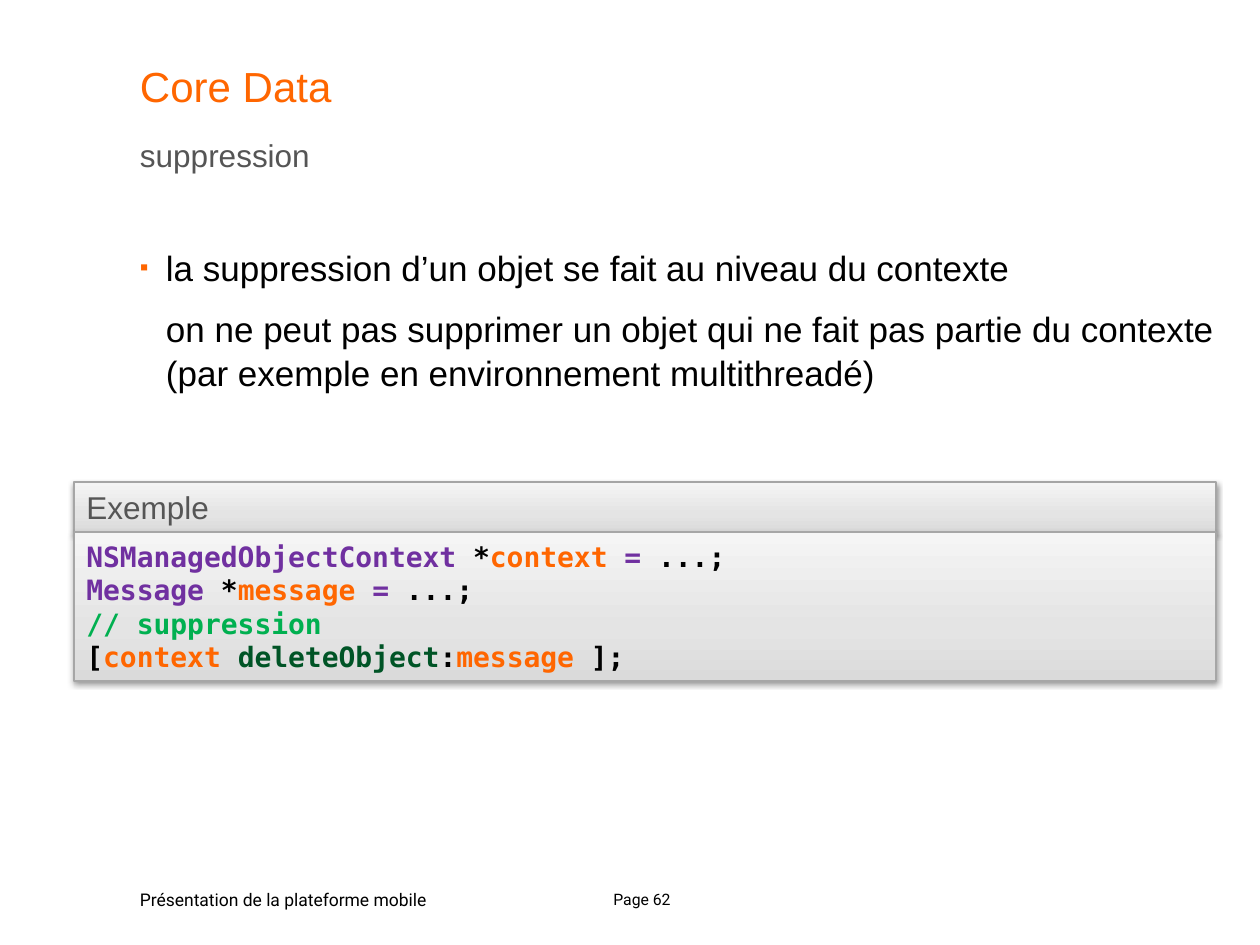
"""Build the Core Data slide about deleting an object."""
from dataclasses import dataclass

import lxml.etree
import pptx
import pptx.dml.color
import pptx.enum.shapes
import pptx.enum.text
import pptx.oxml
import pptx.oxml.ns
import pptx.util

RGBColor = pptx.dml.color.RGBColor
Anchor = pptx.enum.text.MSO_ANCHOR
Align = pptx.enum.text.PP_ALIGN

ORANGE = RGBColor(0xFF, 0x66, 0x00)
GREY = RGBColor(0x55, 0x55, 0x55)
BLACK = RGBColor(0x00, 0x00, 0x00)
PURPLE = RGBColor(0x70, 0x30, 0xA0)
GREEN = RGBColor(0x00, 0xB0, 0x50)
DARK_GREEN = RGBColor(0x00, 0x54, 0x26)
BORDER = RGBColor(0xA6, 0xA6, 0xA6)
PANEL_STOPS = [
    (0, RGBColor(0xDA, 0xDA, 0xDA)),
    (35, RGBColor(0xE4, 0xE4, 0xE4)),
    (100, RGBColor(0xF5, 0xF5, 0xF5)),
]

EMU_PER_PX = 914400 / 126
INSET_X, INSET_Y = 13, 6
HANGING = 26
NAMESPACE = pptx.oxml.ns.nsdecls("a")

Line = list[tuple[str, RGBColor]]


@dataclass(frozen=True)
class Box:
    left: int
    top: int
    width: int
    height: int


@dataclass(frozen=True)
class TextStyle:
    size: int
    color: RGBColor = BLACK
    font: str = "Arial"
    align: Align = Align.LEFT
    anchor: Anchor = Anchor.TOP
    spacing: float = 1.0
    wrap: bool = True
    inset_x: int = 0
    inset_y: int = 0


@dataclass(frozen=True)
class Label:
    text: str
    box: Box
    style: TextStyle


@dataclass(frozen=True)
class Panel:
    box: Box
    lines: list[Line]
    size: int
    font: str
    bold: bool


LABELS = [
    Label("Page 62", Box(591, 884, 102, 30),
          TextStyle(9, font="Roboto", align=Align.CENTER, inset_x=INSET_X, inset_y=INSET_Y)),
    Label("Core Data", Box(140, 55, 1076, 68), TextStyle(24, ORANGE, spacing=1.1)),
    Label("Présentation de la plateforme mobile", Box(140, 883, 343, 30),
          TextStyle(10, font="Roboto", wrap=False, inset_y=INSET_Y)),
    Label("suppression", Box(140, 134, 1076, 42),
          TextStyle(18, GREY, anchor=Anchor.MIDDLE)),
]

CODE: list[Line] = [
    [("NSManagedObjectContext ", PURPLE), ("*", BLACK), ("context ", ORANGE),
     ("= ", PURPLE), ("...;", BLACK)],
    [("Message ", PURPLE), ("*", BLACK), ("message ", ORANGE),
     ("= ", PURPLE), ("...;", BLACK)],
    [("// suppression", GREEN)],
    [("[", BLACK), ("context ", ORANGE), ("deleteObject", DARK_GREEN),
     (":", BLACK), ("message ", ORANGE), ("];", BLACK)],
]

PANELS = [
    Panel(Box(74, 482, 1142, 50), [[("Exemple", GREY)]], 18, "Arial", False),
    Panel(Box(74, 532, 1142, 149), CODE, 16, "DejaVu Sans Mono", True),
]

BODY_BOX = Box(140, 244, 1106, 238)
BODY_STYLE = TextStyle(20, spacing=1.05)
BODY = [
    ("la suppression d’un objet se fait au niveau du contexte", True),
    ("on ne peut pas supprimer un objet qui ne fait pas partie du contexte "
     "(par exemple en environnement multithreadé)", False),
]


def px(value: int) -> int:
    """Turn pixels into EMU."""
    return pptx.util.Emu(round(value * EMU_PER_PX))


def place(box: Box) -> tuple[int, int, int, int]:
    """Return the box in EMU."""
    return px(box.left), px(box.top), px(box.width), px(box.height)


def add_frame(slide, box: Box, style: TextStyle):
    """Add a text box and return its text frame."""
    frame = slide.shapes.add_textbox(*place(box)).text_frame
    frame.word_wrap = style.wrap
    frame.vertical_anchor = style.anchor
    frame.margin_left = frame.margin_right = px(style.inset_x)
    frame.margin_top = frame.margin_bottom = px(style.inset_y)
    return frame


def style_paragraph(paragraph, style: TextStyle) -> None:
    """Apply the text style to a whole paragraph."""
    paragraph.alignment = style.align
    paragraph.line_spacing = style.spacing
    paragraph.font.size = pptx.util.Pt(style.size)
    paragraph.font.name = style.font
    paragraph.font.color.rgb = style.color


def add_label(slide, label: Label) -> None:
    """Add a single line of text."""
    paragraph = add_frame(slide, label.box, label.style).paragraphs[0]
    paragraph.text = label.text
    style_paragraph(paragraph, label.style)


def add_body(slide) -> None:
    """Add the explanation, with a bullet on its first paragraph."""
    frame = add_frame(slide, BODY_BOX, BODY_STYLE)
    for index, (text, bulleted) in enumerate(BODY):
        paragraph = frame.add_paragraph() if index else frame.paragraphs[0]
        paragraph.text = text
        paragraph.space_after = pptx.util.Pt(BODY_STYLE.size / 2)
        properties = paragraph._p.get_or_add_pPr()
        properties.set("marL", str(px(HANGING)))
        properties.set("indent", str(-px(HANGING) if bulleted else 0))
        if bulleted:
            for bullet in (
                f'<a:buClr {NAMESPACE}><a:srgbClr val="{ORANGE}"/></a:buClr>',
                f'<a:buSzPct {NAMESPACE} val="70000"/>',
                f'<a:buFont {NAMESPACE} typeface="Arial"/>',
                f'<a:buChar {NAMESPACE} char="▪"/>',
            ):
                properties.append(pptx.oxml.parse_xml(bullet))
        style_paragraph(paragraph, BODY_STYLE)


def shade(shape) -> None:
    """Give a panel its gradient, border and soft shadow."""
    stops = "".join(
        f'<a:gs pos="{position * 1000}"><a:srgbClr val="{color}"/></a:gs>'
        for position, color in PANEL_STOPS
    )
    properties = shape._element.spPr
    properties.append(pptx.oxml.parse_xml(
        f'<a:gradFill {NAMESPACE} rotWithShape="1"><a:gsLst>{stops}</a:gsLst>'
        '<a:lin ang="16200000" scaled="0"/></a:gradFill>'))
    shape.line.color.rgb = BORDER
    shape.line.width = pptx.util.Pt(0.75)
    shape.shadow.inherit = False
    properties.find(pptx.oxml.ns.qn("a:effectLst")).append(pptx.oxml.parse_xml(
        f'<a:outerShdw {NAMESPACE} blurRad="{pptx.util.Pt(3.1)}" dist="{pptx.util.Pt(1.6)}" '
        'dir="5400000" rotWithShape="0"><a:srgbClr val="000000">'
        '<a:alpha val="38000"/></a:srgbClr></a:outerShdw>'))


def add_panel(group, panel: Panel) -> None:
    """Add a shaded panel holding coloured lines of text."""
    shape = group.shapes.add_shape(
        pptx.enum.shapes.MSO_SHAPE.RECTANGLE, *place(panel.box))
    shade(shape)
    frame = shape.text_frame
    frame.word_wrap = True
    frame.vertical_anchor = Anchor.MIDDLE
    for index, line in enumerate(panel.lines):
        paragraph = frame.add_paragraph() if index else frame.paragraphs[0]
        paragraph.alignment = Align.LEFT
        paragraph.font.size = pptx.util.Pt(panel.size)
        paragraph.font.name = panel.font
        paragraph.font.bold = panel.bold
        for text, color in line:
            run = paragraph.add_run()
            run.text = text
            run.font.color.rgb = color


def main() -> None:
    """Build and save the presentation."""
    presentation = pptx.Presentation()
    presentation.slide_width, presentation.slide_height = px(1260), px(945)
    slide = presentation.slides.add_slide(presentation.slide_layouts[6])
    for label in LABELS:
        add_label(slide, label)
    group = slide.shapes.add_group_shape()
    for panel in PANELS:
        add_panel(group, panel)
    add_body(slide)
    presentation.save("out.pptx")


if __name__ == "__main__":
    main()
